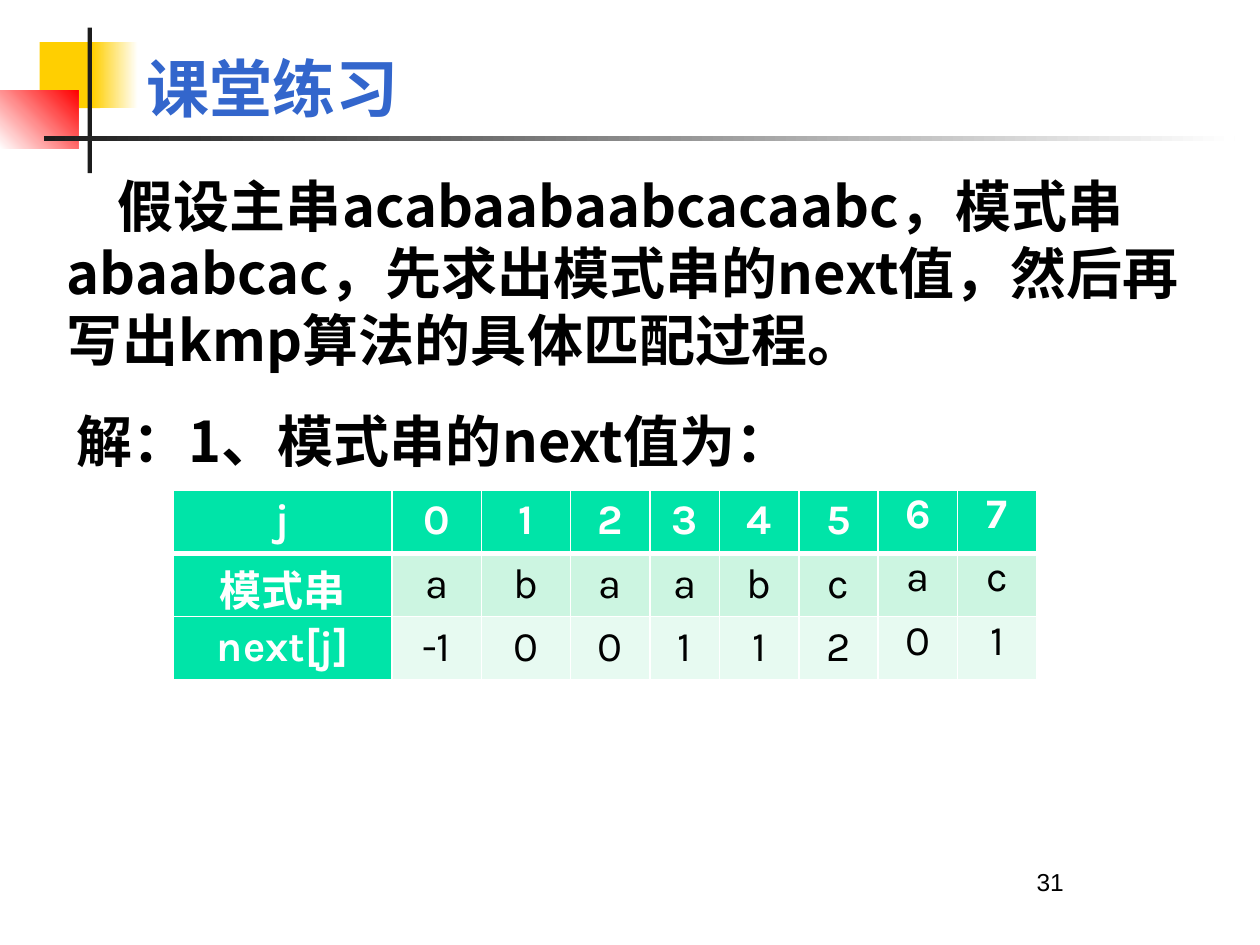
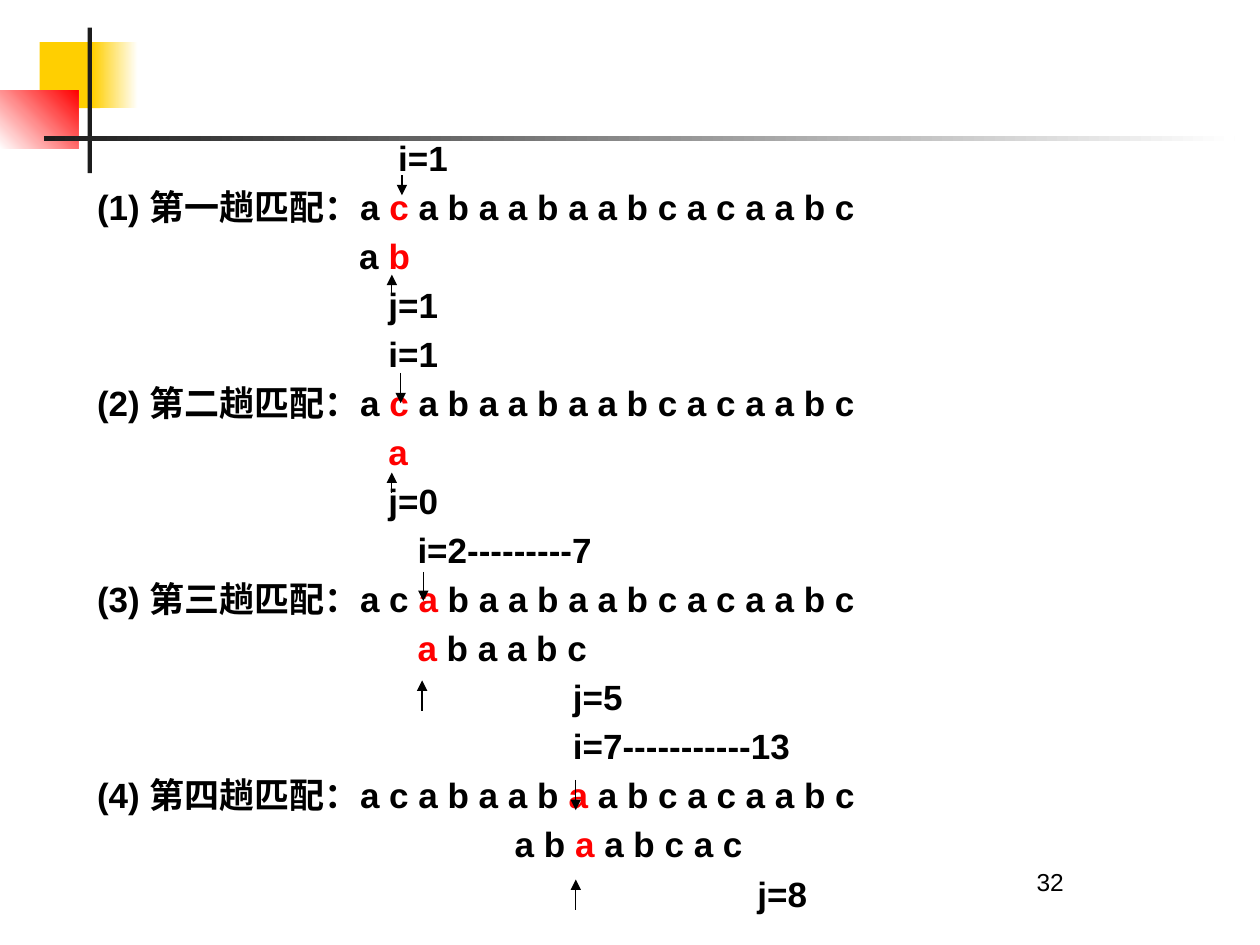
import pptx
import pptx.util
import pptx.dml.color
import pptx.enum.shapes
import pptx.enum.text
import pptx.oxml
import pptx.oxml.ns

COLORS = {
    "title": "3366CC", "text": "000000", "mark": "FF0000", "white": "FFFFFF",
    "gold": "FFCF01", "ink": "1C1C1C", "head": "00E4A8",
    "odd_row": "CCF5E1", "even_row": "E7FAF1",
}
WIDTH = pptx.util.Inches(10)
HEIGHT = pptx.util.Inches(7.5)
SPACE = pptx.util.Pt(5.55)
ALIGN = pptx.enum.text.PP_ALIGN
ANCHOR = pptx.enum.text.MSO_ANCHOR
MAIN_STRING = "acabaabaabcacaabc"

NEXT_TABLE = [
    ["j", "0", "1", "2", "3", "4", "5", "6", "7"],
    ["模式串", "a", "b", "a", "a", "b", "c", "a", "c"],
    ["next[j]", "-1", "0", "0", "1", "1", "2", "0", "1"],
]
TABLE_COLUMNS = [17.35, 7.1, 7.1, 6.3, 5.5] + [6.3] * 4

TRIALS = [
    ("(1) 第一趟匹配：", 1, (31, "i=1"), (27, "ab", 1), (30, "j=1")),
    ("(2) 第二趟匹配：", 1, (30, "i=1"), (30, "a", 0), (30, "j=0")),
    ("(3) 第三趟匹配：", 2, (33, "i=2---------7"), (33, "abaabc", 0), (49, "j=5")),
    ("(4) 第四趟匹配：", 7, (49, "i=7-----------13"), (43, "abaabcac", 2), (68, "j=8")),
]
ARROWS = [
    (31.9, 18.53, 20.67), (31.8, 39.47, 42.67), (33.6, 60.53, 63.6), (45.7, 82.53, 85.73),
    (31.1, 31.07, 29.07), (31.1, 52.13, 50), (33.5, 75.2, 72), (45.7, 96.27, 93.07),
]


def across(percent):
    """Return a share of the slide width."""
    return int(WIDTH * percent / 100)


def down(percent):
    """Return a share of the slide height."""
    return int(HEIGHT * percent / 100)


def area(left, top, width, height):
    """Turn percentages of the slide into a position and a size."""
    return across(left), down(top), across(width), down(height)


def color(name):
    """Return the named colour."""
    return pptx.dml.color.RGBColor.from_string(COLORS[name])


def format_span(span, size, face, tint="text", bold=True):
    """Set the font of one run for Latin and Chinese letters alike."""
    span.font.size = pptx.util.Pt(size)
    span.font.bold = bold
    span.font.color.rgb = color(tint)
    span.font.name = face
    east = span.font._element.makeelement(pptx.oxml.ns.qn("a:ea"), {"typeface": face})
    span.font._element.find(pptx.oxml.ns.qn("a:latin")).addnext(east)


def format_para(para, margin=0, first=0, align=ALIGN.LEFT):
    """Remove the bullet and set the indents and the alignment."""
    settings = para._p.get_or_add_pPr()
    settings.set("marL", str(int(margin)))
    settings.set("indent", str(int(first)))
    settings.append(settings.makeelement(pptx.oxml.ns.qn("a:buNone"), {}))
    para.alignment = align
    para.space_before = pptx.util.Pt(0)


def place_box(box, spot):
    """Move a text holder and let its text wrap from the top."""
    box.left, box.top, box.width, box.height = area(*spot)
    frame = box.text_frame
    frame.word_wrap = True
    frame.auto_size = pptx.enum.text.MSO_AUTO_SIZE.NONE
    frame.vertical_anchor = ANCHOR.TOP
    return frame


def write_line(box, spot, text, size, face, tint="text", bold=True,
               first=0, align=ALIGN.LEFT, pitch=None):
    """Write one paragraph into a box."""
    frame = place_box(box, spot)
    frame.text = text
    para = frame.paragraphs[0]
    format_para(para, first=first, align=align)
    if pitch:
        para.line_spacing = pptx.util.Pt(pitch)
    format_span(para.runs[0], size, face, tint, bold)


def add_box(page):
    """Add an empty text box."""
    return page.shapes.add_textbox(0, 0, 0, 0)


def add_page_number(page, number):
    """Write the page number at the lower right."""
    write_line(add_box(page), (71.7, 91.07, 23.3, 6.93), str(number), 14, "Arial",
               bold=False, align=ALIGN.CENTER)


def add_band(deck, page, number, spot, start, end=None, angle=0):
    """Add a plain or fading rectangle to the slide master."""
    band = page.shapes.add_shape(pptx.enum.shapes.MSO_SHAPE.RECTANGLE, *area(*spot))
    band.shadow.inherit = False
    band.line.fill.background()
    if end:
        band.fill.gradient()
        band.fill.gradient_angle = angle
        for stop, name in zip(band.fill.gradient_stops, (start, end)):
            stop.color.rgb = color(name)
    else:
        band.fill.solid()
        band.fill.fore_color.rgb = color(start)
    band.element.nvSpPr.cNvPr.set("id", str(100 + number))
    deck.slide_master.shapes.element.append(band.element)


def decorate_master(deck, page):
    """Give all slides the coloured squares and the crossing bars."""
    bands = [
        ((3.15, 4.45, 4.8, 7), "gold"),
        ((7.35, 4.45, 3.6, 7), "gold", "white"),
        ((0, 9.55, 6.2, 6.2), "white", "mark", 45),
        ((6.95, 2.93, 0.35, 15.4), "ink"),
        ((3.5, 14.4, 94.5, 0.55), "ink", "white"),
    ]
    for number, band in enumerate(bands):
        add_band(deck, page, number, *band)


def set_borders(cell, row):
    """Draw white cell borders, thick under the heading row."""
    widths = {"L": 1, "R": 1, "T": 3 if row == 1 else 1, "B": 3 if row == 0 else 1}
    for side, width in widths.items():
        cell._tc.get_or_add_tcPr().append(pptx.oxml.parse_xml(
            f'<a:ln{side} {pptx.oxml.ns.nsdecls("a")} w="{width * 12700}"><a:solidFill>'
            f'<a:srgbClr val="{COLORS["white"]}"/></a:solidFill></a:ln{side}>'))


def fill_cell(cell, row, column, text):
    """Write and colour one table cell."""
    heading = row == 0 or column == 0
    set_borders(cell, row)
    cell.fill.solid()
    cell.fill.fore_color.rgb = color("head" if heading else ("odd_row", "even_row")[row - 1])
    if column > 6:
        cell.margin_left = cell.margin_right = cell.margin_top = cell.margin_bottom = 0
    cell.text = text
    para = cell.text_frame.paragraphs[0]
    para.alignment = ALIGN.CENTER
    format_span(para.runs[0], 24, "Karla", "white" if heading else "text", heading)


def add_next_table(page):
    """Add the table of next values."""
    table = page.shapes.add_table(len(NEXT_TABLE), len(TABLE_COLUMNS),
                                  *area(13.75, 51.87, 68.55, 20.1)).table
    for column, width in enumerate(TABLE_COLUMNS):
        table.columns[column].width = across(width)
    for row, texts in enumerate(NEXT_TABLE):
        for column, text in enumerate(texts):
            fill_cell(table.cell(row, column), row, column, text)
    pattern_label = table.cell(1, 0)
    pattern_label.vertical_anchor = ANCHOR.BOTTOM
    pattern_label.margin_bottom = 0


def spaced_parts(letters, marked):
    """Space out letters and split them around the marked one."""
    spaced = " ".join(letters)
    return [spaced[:2 * marked], spaced[2 * marked], spaced[2 * marked + 1:]]


def trial_rows():
    """Yield the indent and the plain, marked and plain parts of each line."""
    for label, marked, upper, (column, pattern, hit), lower in TRIALS:
        before, letter, after = spaced_parts(MAIN_STRING, marked)
        yield upper[0], [upper[1]]
        yield 0, [label + before, letter, after]
        yield column, spaced_parts(pattern, hit)
        yield lower[0], [lower[1]]


def write_trials(box):
    """Write the four matching passes line by line."""
    frame = place_box(box, (6.7, 13.81, 83.9, 85))
    for number, (column, parts) in enumerate(trial_rows()):
        para = frame.add_paragraph() if number else frame.paragraphs[0]
        format_para(para, margin=column * SPACE)
        if number:
            para.space_before = pptx.util.Pt(4)
        for place, part in enumerate(parts):
            if part:
                span = para.add_run()
                span.text = part
                format_span(span, 20, "Arial", "mark" if place == 1 else "text")


def add_arrow(page, x, start, end):
    """Add a thin vertical arrow."""
    arrow = page.shapes.add_connector(pptx.enum.shapes.MSO_CONNECTOR.STRAIGHT,
                                      across(x), down(start), across(x), down(end))
    arrow.line.color.rgb = color("text")
    arrow.line.width = pptx.util.Pt(0.75)
    line = arrow.line._get_or_add_ln()
    line.append(line.makeelement(pptx.oxml.ns.qn("a:tailEnd"), {"type": "triangle"}))
    settings = arrow.element.spPr
    settings.append(settings.makeelement(pptx.oxml.ns.qn("a:effectLst"), {}))


def build_exercise(page):
    """Fill the slide with the exercise and its next table."""
    chinese = {"size": 32, "face": "Noto Sans CJK SC", "pitch": 38.4}
    write_line(page.shapes.title, (10.6, 4.53, 24.4, 9.47), "课堂练习", 36, "Arial", "title")
    write_line(page.placeholders[1], (4.3, 17.45, 91.3, 22.93),
               "假设主串acabaabaabcacaabc，模式串abaabcac，先求出模式串的next值，"
               "然后再写出kmp算法的具体匹配过程。", first=across(4.05), **chinese)
    write_line(add_box(page), (5.1, 42.4, 83.9, 8.53), "解：1、模式串的next值为：", **chinese)
    add_next_table(page)
    add_page_number(page, 31)


def build_matching(page):
    """Fill the slide with the matching passes and their arrows."""
    title = page.shapes.title.element
    title.getparent().remove(title)
    add_page_number(page, 32)
    write_trials(page.placeholders[1])
    for arrow in ARROWS:
        add_arrow(page, *arrow)


def main():
    """Build and save the deck."""
    deck = pptx.Presentation()
    deck.slide_width, deck.slide_height = WIDTH, HEIGHT
    exercise, matching = [deck.slides.add_slide(deck.slide_layouts[1]) for _ in range(2)]
    decorate_master(deck, exercise)
    build_exercise(exercise)
    build_matching(matching)
    deck.save("out.pptx")


if __name__ == "__main__":
    main()
